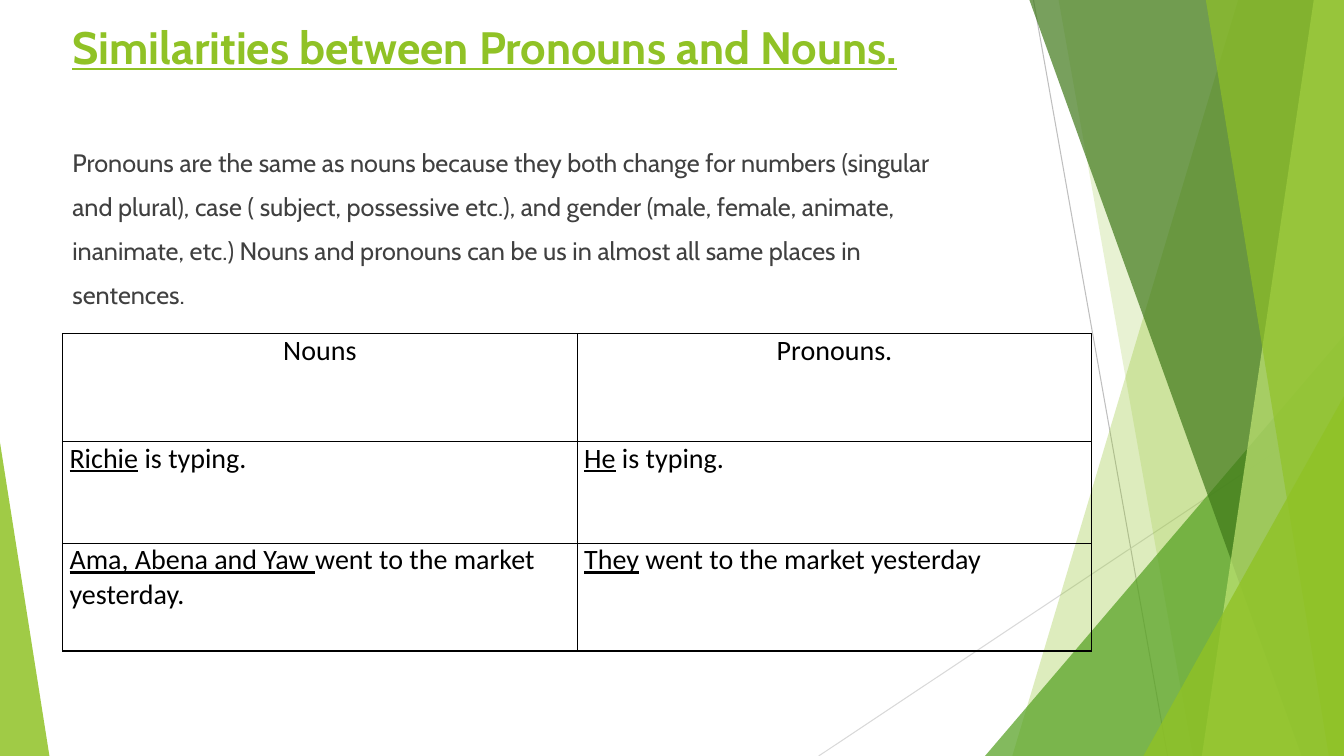
from dataclasses import dataclass

from lxml.etree import SubElement
from pptx import Presentation
from pptx.dml.color import RGBColor
from pptx.enum.shapes import MSO_CONNECTOR, MSO_SHAPE
from pptx.enum.text import MSO_ANCHOR, PP_ALIGN
from pptx.oxml import parse_xml
from pptx.oxml.ns import nsdecls, qn
from pptx.util import Inches, Pt


@dataclass(frozen=True)
class Theme:
    lime: str = "90C226"
    pale: str = "C0E474"
    green: str = "54A021"
    dark: str = "3F7819"
    body: str = "404040"
    black: str = "000000"
    line: str = "BFBFBF"
    faint_line: str = "D9D9D9"
    text_font: str = "Cabin"
    table_font: str = "Calibri"
    title_size: float = 32.4
    body_size: float = 18
    table_size: float = 20


THEME = Theme()
WIDTH, HEIGHT = 13.33, 7.5

TITLE = "Similarities between Pronouns and Nouns."
BODY = [
    "Pronouns are the same as nouns because they both change for numbers (singular",
    "and plural), case ( subject, possessive etc.), and gender (male, female, animate,",
    "inanimate, etc.) Nouns and pronouns can be us in almost all same places in",
    "sentences.",
]
HEADINGS = ["Nouns", "Pronouns."]
# Each example is an underlined subject and the rest of its sentence
EXAMPLES = [
    [("Richie", " is typing."), ("He", " is typing.")],
    [("Ama, Abena and Yaw ", "went to the market yesterday."),
     ("They", " went to the market yesterday")],
]
ROW_HEIGHTS = [1.07, 1.01, 1.07]


def style_font(font, name, size, color):
    font.name = name
    font.size = Pt(size)
    font.color.rgb = RGBColor.from_string(color)


def paint(shape, color, opacity):
    shape.shadow.inherit = False
    shape.line.fill.background()
    shape.fill.solid()
    shape.fill.fore_color.rgb = RGBColor.from_string(color)
    srgb = shape.fill._xPr.find(f".//{qn('a:srgbClr')}")
    SubElement(srgb, qn("a:alpha"), val=str(opacity * 1000))


def add_line(page, start, end, color):
    ends = [Inches(value) for value in (*start, *end)]
    line = page.shapes.add_connector(MSO_CONNECTOR.STRAIGHT, *ends)
    line.line.color.rgb = RGBColor.from_string(color)
    line.line.width = Pt(0.75)
    SubElement(line._element.spPr, qn("a:effectLst"))


def add_band(page, top_x, bottom_x, color, opacity):
    """Fill from a slanted edge to the right side of the slide."""
    builder = page.shapes.build_freeform(Inches(top_x), 0)
    corners = [(WIDTH, 0), (WIDTH, HEIGHT), (bottom_x, HEIGHT)]
    builder.add_line_segments([(Inches(x), Inches(y)) for x, y in corners])
    paint(builder.convert_to_shape(), color, opacity)


def add_corner(page, left, top, width, apex, color, opacity):
    """Triangle standing on the bottom edge of the slide."""
    corner = page.shapes.add_shape(
        MSO_SHAPE.ISOSCELES_TRIANGLE,
        Inches(left), Inches(top), Inches(width), Inches(HEIGHT - top))
    corner.adjustments[0] = apex
    paint(corner, color, opacity)


def add_text(page, top, height, lines, size, color, space_before=0):
    box = page.shapes.add_textbox(Inches(0.62), Inches(top), Inches(9.4), Inches(height))
    frame = box.text_frame
    frame.word_wrap = True
    frame.vertical_anchor = MSO_ANCHOR.TOP
    frame.text = "\n".join(lines)
    for index, para in enumerate(frame.paragraphs):
        para.space_before = Pt(space_before if index else 0)
        style_font(para.font, THEME.text_font, size, color)
    return frame


def add_borders(cell):
    properties = cell._tc.get_or_add_tcPr()
    for index, side in enumerate(("lnL", "lnR", "lnT", "lnB")):
        properties.insert(index, parse_xml(
            f'<a:{side} {nsdecls("a")} w="{Pt(1)}"><a:solidFill>'
            f'<a:srgbClr val="{THEME.black}"/></a:solidFill></a:{side}>'))


def format_cell(cell):
    cell.margin_left = cell.margin_right = Inches(0.07)
    cell.margin_top = cell.margin_bottom = 0
    cell.fill.background()
    add_borders(cell)
    para = cell.text_frame.paragraphs[0]
    style_font(para.font, THEME.table_font, THEME.table_size, THEME.black)
    return para


def add_comparison(page):
    table = page.shapes.add_table(
        len(ROW_HEIGHTS), len(HEADINGS), Inches(0.62), Inches(3.31),
        Inches(10.21), Inches(sum(ROW_HEIGHTS))).table
    table.first_row = table.horz_banding = False
    for row, height in zip(table.rows, ROW_HEIGHTS):
        row.height = Inches(height)
    for column, heading in enumerate(HEADINGS):
        para = format_cell(table.cell(0, column))
        para.alignment = PP_ALIGN.CENTER
        para.add_run().text = heading
    for row, examples in enumerate(EXAMPLES, start=1):
        for column, (subject, rest) in enumerate(examples):
            para = format_cell(table.cell(row, column))
            span = para.add_run()
            span.text = subject
            span.font.underline = True
            para.add_run().text = rest


def add_decoration(page):
    add_line(page, (10.25, 0), (11.58, HEIGHT), THEME.line)
    add_line(page, (WIDTH, 4.03), (8.12, HEIGHT), THEME.faint_line)
    add_band(page, 12.28, 10.04, THEME.lime, 30)
    add_band(page, 10.5, 11.83, THEME.lime, 20)
    add_corner(page, 9.77, 3.33, 3.56, 1, THEME.green, 72)
    add_band(page, 10.21, 12.91, THEME.dark, 70)
    add_band(page, 13.03, 11.92, THEME.pale, 70)
    add_band(page, 11.96, 13.18, THEME.lime, 65)
    add_corner(page, 11.34, 3.93, 1.99, 1, THEME.lime, 80)
    add_corner(page, 0, 4.39, 0.49, 0, THEME.lime, 85)


def main():
    deck = Presentation()
    deck.slide_width, deck.slide_height = Inches(WIDTH), Inches(HEIGHT)
    page = deck.slides.add_slide(deck.slide_layouts[6])

    # Green facets behind the content
    add_decoration(page)

    # Title and explanation
    title = add_text(page, 0.14, 1.44, [TITLE], THEME.title_size, THEME.lime)
    title.paragraphs[0].font.bold = True
    title.paragraphs[0].font.underline = True
    add_text(page, 1.41, 4.24, BODY, THEME.body_size, THEME.body, space_before=10)

    # Example sentences
    add_comparison(page)

    deck.save("out.pptx")


if __name__ == "__main__":
    main()
